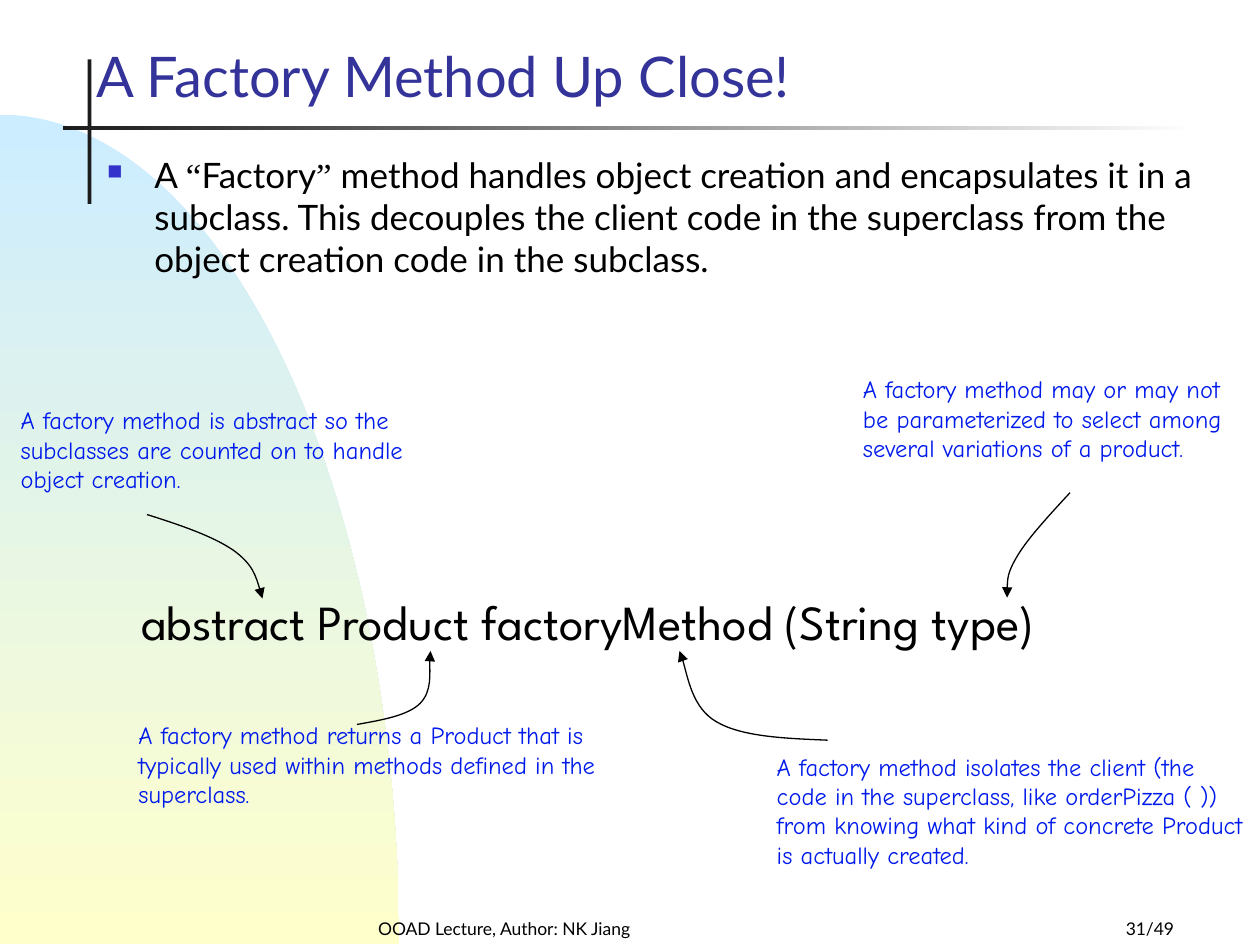
from lxml.etree import SubElement
from pptx import Presentation
from pptx.dml.color import RGBColor
from pptx.enum.shapes import MSO_SHAPE
from pptx.enum.text import MSO_ANCHOR, MSO_AUTO_SIZE, PP_ALIGN
from pptx.oxml.ns import qn
from pptx.util import Pt

COLORS = {"black": "000000", "title": "333399", "bullet": "3333CC", "note": "001AEB",
          "bar": "1C1C1C", "white": "FFFFFF", "sky": "CCECFF", "cream": "FFFFCC"}
C = {name: RGBColor.from_string(value) for name, value in COLORS.items()}


def add_curve(shapes, points, corners=()):
    path = [(Pt(x), Pt(y)) for x, y in [*points, *corners]]
    fb = shapes.build_freeform(*path[0], scale=1.0)
    fb.add_line_segments(path[1:], close=bool(corners))
    sp = fb.convert_to_shape()
    sp.shadow.inherit = False
    lines = list(sp._element.iter(qn("a:lnTo")))[:len(points) - 1]
    for i in range(0, len(lines), 3):
        first = lines[i]
        first.tag = qn("a:cubicBezTo")
        for line in lines[i + 1:i + 3]:
            first.append(line[0])
            line.getparent().remove(line)
    return sp


def write(sp, box, runs, size, color, anchor=MSO_ANCHOR.TOP, align=PP_ALIGN.LEFT):
    sp.left, sp.top, sp.width, sp.height = [Pt(v) for v in box]
    tf = sp.text_frame
    tf.word_wrap = True
    tf.auto_size = MSO_AUTO_SIZE.NONE
    tf.vertical_anchor = anchor
    p = tf.paragraphs[0]
    p.alignment = align
    p.space_before = Pt(0)
    for text, font in runs:
        r = p.add_run()
        r.text = text
        r.font.name = font
        r.font.size = Pt(size)
        r.font.color.rgb = C[color]
    return p


prs = Presentation()
prs.slide_width, prs.slide_height = Pt(720), Pt(540)
s = prs.slides.add_slide(prs.slide_layouts[1])
title, body = s.shapes.title, s.placeholders[1]

backdrop = add_curve(s.shapes, [(0, 65.5), (126, 65.5), (228, 278), (228, 539.5)], [(0, 539.5)])
upright = s.shapes.add_shape(MSO_SHAPE.RECTANGLE, Pt(50), Pt(34), Pt(2.3), Pt(82.6))
rule = s.shapes.add_shape(MSO_SHAPE.RECTANGLE, Pt(36), Pt(72), Pt(648), Pt(2.2))
upright.fill.solid()
upright.fill.fore_color.rgb = C["bar"]
for sp, angle, stops in [(backdrop, 270, ("sky", "cream")), (rule, 0, ("bar", "white"))]:
    sp.fill.gradient()
    sp.fill.gradient_angle = angle
    for stop, color in zip(sp.fill.gradient_stops, stops):
        stop.color.rgb = C[color]
for sp in (backdrop, upright, rule):
    sp.line.fill.background()
    sp.shadow.inherit = False

for sp in (title, body):
    s.shapes._spTree.append(sp._element)
write(title, (48, 12, 510, 54), [("A Factory Method Up Close!", "Lato")],
      32, "title", MSO_ANCHOR.BOTTOM)
p = write(body, (54, 84, 636, 132.5), [
    ("A ", "Lato"), ("“", "Times New Roman"), ("Factory", "Lato"), ("”", "Times New Roman"),
    (" method handles object creation and encapsulates it in a subclass. This decouples the "
     "client code in the superclass from the object creation code in the subclass.", "Lato"),
], 20, "black")
pPr = p._p.get_or_add_pPr()
pPr.set("marL", str(Pt(27)))
pPr.set("indent", str(-Pt(27)))
SubElement(SubElement(pPr, qn("a:buClr")), qn("a:srgbClr")).set("val", COLORS["bullet"])
SubElement(pPr, qn("a:buSzPct")).set("val", "60000")
bu_font = SubElement(pPr, qn("a:buFont"))
bu_font.set("typeface", "Wingdings")
bu_font.set("charset", "2")
SubElement(pPr, qn("a:buChar")).set("char", "n")

plain = [
    ((174, 516, 228, 24), "OOAD Lecture, Author: NK Jiang", "Lato", 10, "black",
     MSO_ANCHOR.BOTTOM, PP_ALIGN.CENTER),
    ((528, 516, 150, 24), "31/49", "Lato", 10, "black", MSO_ANCHOR.BOTTOM, PP_ALIGN.RIGHT),
    ((73.6, 334.4, 600, 41), "abstract Product factoryMethod (String type)",
     "League Spartan", 28, "black", MSO_ANCHOR.TOP, PP_ALIGN.LEFT),
]
for box, text, font, size, color, anchor, align in plain:
    write(s.shapes.add_textbox(0, 0, 0, 0), box, [(text, font)], size, color, anchor, align)

notes = [
    ((4.7, 228, 241, 57.5),
     "A factory method is abstract so the subclasses are counted on to handle object creation.",
     [(84, 294), (103, 300), (122, 306.5), (133.5, 314.5), (144.5, 322.5), (147.5, 332.5), (150, 342)]),
    ((72, 408, 276, 57.5),
     "A factory method returns a Product that is typically used within methods defined in the "
     "superclass.",
     [(204, 414), (218, 411.5), (233, 409), (240, 402), (247, 395), (245, 377.5), (246, 372)]),
    ((436.8, 426, 283, 75),
     "A factory method isolates the client (the code in the superclass, like orderPizza ( )) "
     "from knowing what kind of concrete Product is actually created.",
     [(473, 423), (448.5, 422), (424, 421), (409.5, 412.5), (395.5, 404.5), (391.5, 378.5), (388.3, 372)]),
    ((486, 210.4, 229, 57.5),
     "A factory method may or may not be parameterized to select among several variations of "
     "a product.",
     [(611.5, 281.5), (599.5, 294.5), (587.5, 307.5), (581.5, 317.5), (575.5, 327.5), (575.5, 334), (575.5, 341.5)]),
]
for box, text, points in notes:
    arrow = add_curve(s.shapes, points)
    arrow.fill.background()
    arrow.line.color.rgb = C["black"]
    arrow.line.width = Pt(0.75)
    SubElement(arrow.line._get_or_add_ln(), qn("a:tailEnd")).set("type", "triangle")
    write(s.shapes.add_textbox(0, 0, 0, 0), box, [(text, "Comic Neue")], 14, "note")

prs.save("out.pptx")
